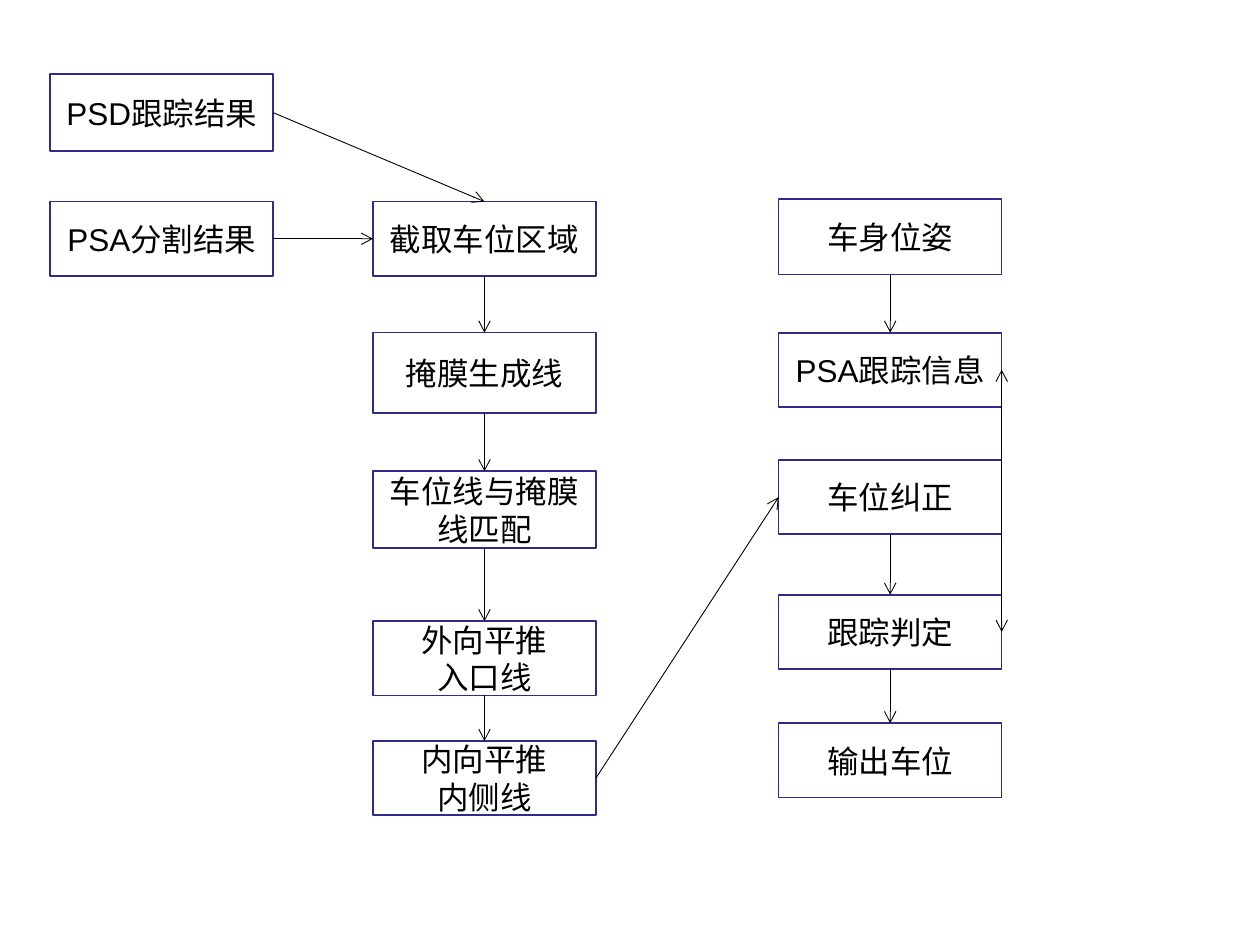
import itertools

import lxml.etree
import pptx
import pptx.dml.color
import pptx.enum.shapes
import pptx.enum.text
import pptx.oxml.ns
import pptx.util

COLORS = {"paper": "FFFFFF", "border": "2D2D89", "ink": "000000"}
SLIDE_WIDTH = pptx.util.Inches(10)
SLIDE_HEIGHT = pptx.util.Inches(7.5)
COLUMN = SLIDE_WIDTH / 100
ROW = SLIDE_HEIGHT / 75
STEP_WIDTH = 17.7
TOP, LEFT, BOTTOM, RIGHT = range(4)

FRAME_FORMAT = {
    "word_wrap": True,
    "vertical_anchor": pptx.enum.text.MSO_ANCHOR.MIDDLE,
    "margin_left": pptx.util.Inches(0.1),
    "margin_right": pptx.util.Inches(0.1),
    "margin_top": pptx.util.Inches(0.05),
    "margin_bottom": pptx.util.Inches(0.05),
}
FONT_FORMAT = {"name": "Arial", "size": pptx.util.Pt(18)}

INPUTS = [("PSD跟踪结果", 0, 6.1), ("PSA分割结果", 10.1, 5.9)]
LINE_STEPS = [
    ("截取车位区域", 0, 5.9),
    ("掩膜生成线", 10.4, 6.4),
    ("车位线与掩膜线匹配", 21.4, 6.1),
    ("外向平推\n入口线", 33.3, 5.9),
    ("内向平推\n内侧线", 42.8, 5.9),
]
TRACKING_STEPS = [
    ("车身位姿", 0, 6),
    ("PSA跟踪信息", 10.6, 5.9),
    ("车位纠正", 20.7, 5.9),
    ("跟踪判定", 31.4, 5.9),
    ("输出车位", 41.6, 5.9),
]


def apply_format(target, values):
    for name, value in values.items():
        setattr(target, name, value)


def rgb(name):
    return pptx.dml.color.RGBColor.from_string(COLORS[name])


def draw_step(slide, box, text):
    left, top, width, height = box
    step = slide.shapes.add_shape(
        pptx.enum.shapes.MSO_SHAPE.RECTANGLE,
        round(left * COLUMN), round(top * ROW),
        round(width * COLUMN), round(height * ROW),
    )
    step.shadow.inherit = False
    step.fill.solid()
    step.fill.fore_color.rgb = rgb("paper")
    step.line.color.rgb = rgb("border")
    step.line.width = pptx.util.Pt(1)
    apply_format(step.text_frame, FRAME_FORMAT)
    step.text_frame.text = text
    for paragraph in step.text_frame.paragraphs:
        paragraph.alignment = pptx.enum.text.PP_ALIGN.CENTER
        apply_format(paragraph.font, FONT_FORMAT)
        for run in paragraph.runs:
            apply_format(run.font, FONT_FORMAT)
            run.font.color.rgb = rgb("ink")
    return step


def draw_stack(slide, origin, steps):
    left, top = origin
    return [
        draw_step(slide, (left, top + offset, STEP_WIDTH, height), text)
        for text, offset, height in steps
    ]


def draw_arrow(slide, source, source_side, target, target_side, ends=("tailEnd",)):
    arrow = slide.shapes.add_connector(
        pptx.enum.shapes.MSO_CONNECTOR.STRAIGHT, 0, 0, 0, 0
    )
    arrow.begin_connect(source, source_side)
    arrow.end_connect(target, target_side)
    arrow.line.color.rgb = rgb("ink")
    arrow.line.width = pptx.util.Pt(0.5)
    qn = pptx.oxml.ns.qn
    properties = arrow.element.find(qn("p:spPr"))
    outline = properties.find(qn("a:ln"))
    for end in ends:
        lxml.etree.SubElement(outline, qn(f"a:{end}"), type="arrow")
    lxml.etree.SubElement(properties, qn("a:effectLst"))


def draw_chain(slide, steps):
    for upper, lower in itertools.pairwise(steps):
        draw_arrow(slide, upper, BOTTOM, lower, TOP)


def main():
    deck = pptx.Presentation()
    apply_format(deck, {"slide_width": SLIDE_WIDTH, "slide_height": SLIDE_HEIGHT})
    slide = deck.slides.add_slide(deck.slide_layouts[6])

    tracked_slot, segmentation = draw_stack(slide, (4, 5.9), INPUTS)
    line_steps = draw_stack(slide, (29.6, 16), LINE_STEPS)
    tracking_steps = draw_stack(slide, (61.8, 15.8), TRACKING_STEPS)
    pose, tracking_info, correction, judgement, output = tracking_steps

    draw_arrow(slide, tracked_slot, RIGHT, line_steps[0], TOP)
    draw_arrow(slide, segmentation, RIGHT, line_steps[0], LEFT)
    draw_chain(slide, line_steps)
    draw_arrow(slide, line_steps[-1], RIGHT, correction, LEFT)
    draw_chain(slide, [pose, tracking_info])
    draw_chain(slide, [correction, judgement, output])
    draw_arrow(slide, tracking_info, RIGHT, judgement, RIGHT, ("headEnd", "tailEnd"))

    deck.save("out.pptx")


if __name__ == "__main__":
    main()
